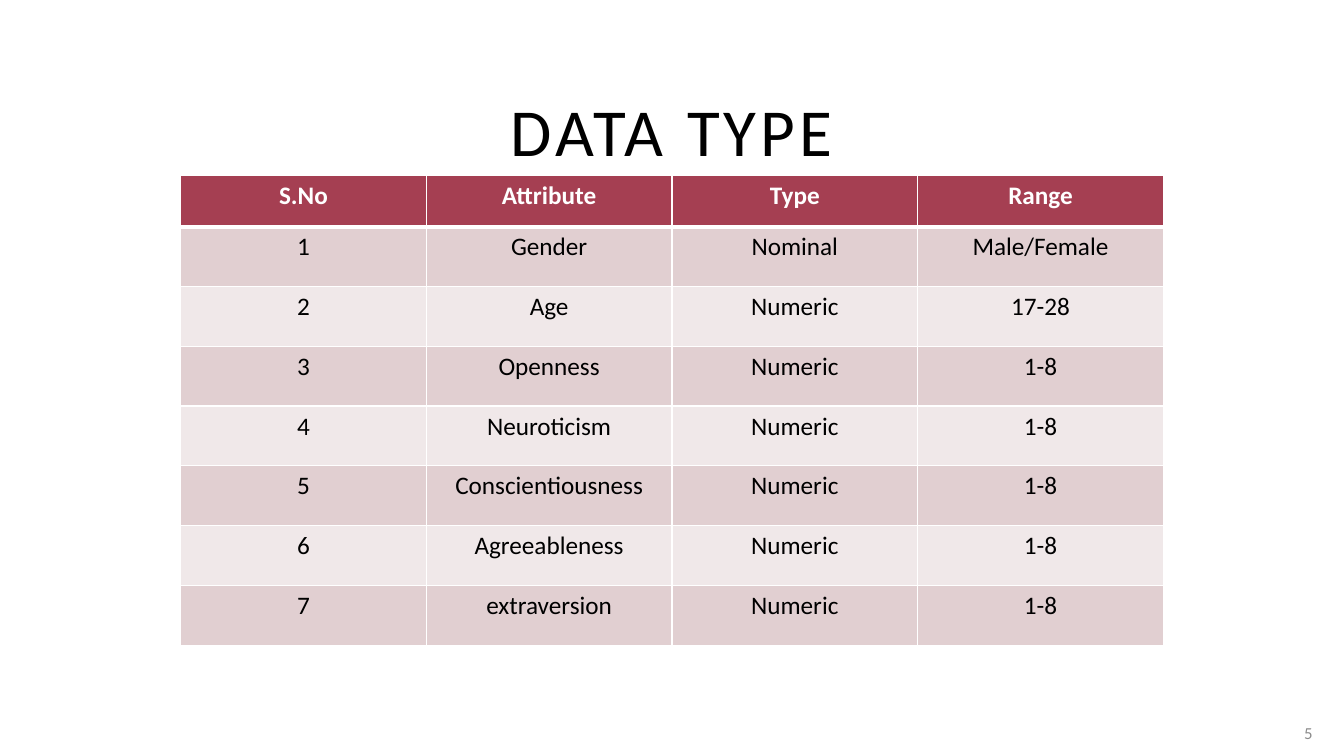
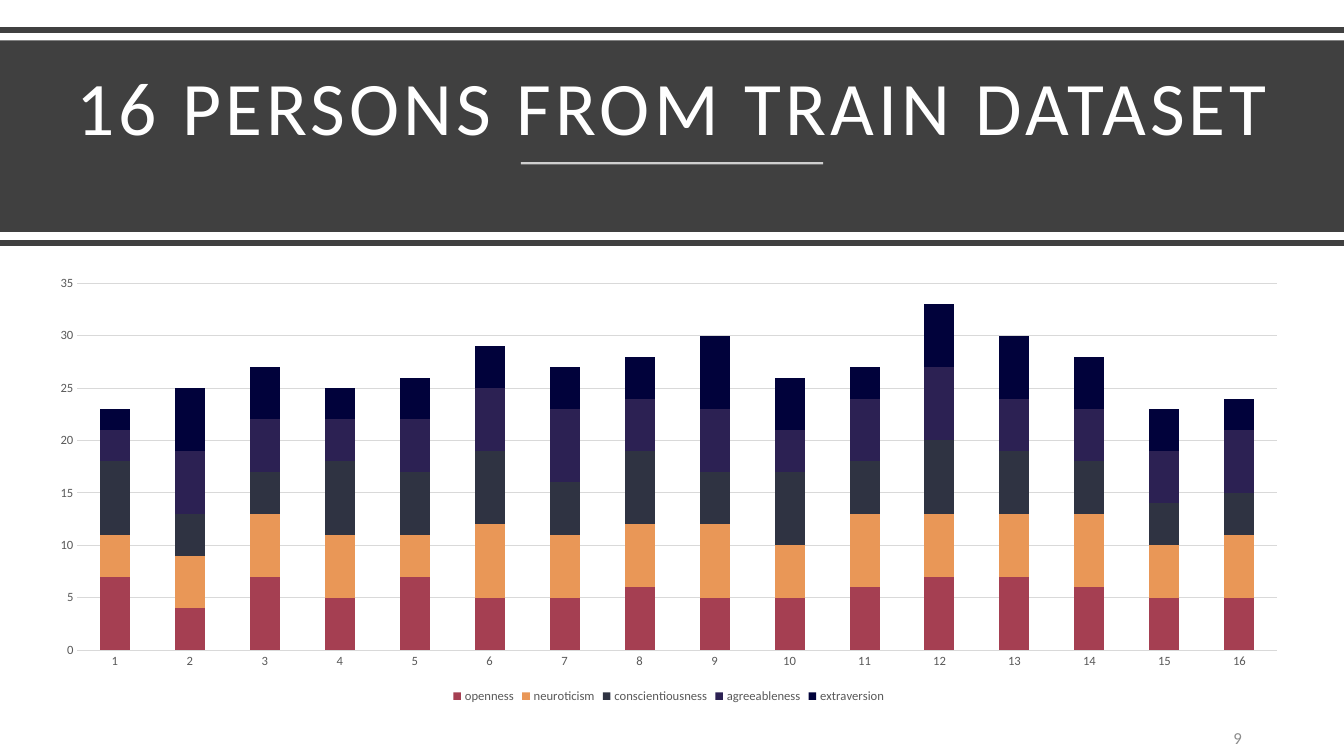
"""Build two slides: a table of data types and a stacked chart of 16 persons."""
from dataclasses import dataclass

from lxml.etree import SubElement
from pptx import Presentation
from pptx.chart.data import CategoryChartData
from pptx.dml.color import RGBColor
from pptx.enum.chart import XL_CHART_TYPE as ChartType
from pptx.enum.chart import XL_LEGEND_POSITION as LegendPosition
from pptx.enum.chart import XL_TICK_MARK as TickMark
from pptx.enum.shapes import MSO_CONNECTOR as Connector
from pptx.enum.shapes import MSO_SHAPE as Shape
from pptx.enum.text import MSO_ANCHOR as Anchor
from pptx.enum.text import MSO_AUTO_SIZE as AutoSize
from pptx.enum.text import PP_ALIGN as Align
from pptx.oxml.ns import qn
from pptx.util import Pt


@dataclass(frozen=True)
class Theme:
    font: str = "Calibri"
    white: str = "FFFFFF"
    black: str = "000000"
    band: str = "404040"
    accent: str = "A53F52"
    row_fills: tuple = ("E1CFD1", "F0E8E9")
    series: tuple = ("A53F52", "E99757", "2F3342", "2C2153", "01023B")
    grid: str = "D9D9D9"
    chart_text: str = "595959"
    number: str = "8C8C8C"
    title_size: int = 48
    banner_size: int = 54
    cell_size: int = 18
    number_size: int = 12
    chart_size: int = 9
    title_spacing: int = 3


THEME = Theme()
WIDTH, HEIGHT = 960, 540
TITLE_ONLY = 5

HEADERS = ("S.No", "Attribute", "Type", "Range")
ATTRIBUTES = (
    ("Gender", "Nominal", "Male/Female"),
    ("Age", "Numeric", "17-28"),
    ("Openness", "Numeric", "1-8"),
    ("Neuroticism", "Numeric", "1-8"),
    ("Conscientiousness", "Numeric", "1-8"),
    ("Agreeableness", "Numeric", "1-8"),
    ("extraversion", "Numeric", "1-8"),
)
SCORES = {
    "openness": (7, 4, 7, 5, 7, 5, 5, 6, 5, 5, 6, 7, 7, 6, 5, 5),
    "neuroticism": (4, 5, 6, 6, 4, 7, 6, 6, 7, 5, 7, 6, 6, 7, 5, 6),
    "conscientiousness": (7, 4, 4, 7, 6, 7, 5, 7, 5, 7, 5, 7, 6, 5, 4, 4),
    "agreeableness": (3, 6, 5, 4, 5, 6, 7, 5, 6, 4, 6, 7, 5, 5, 5, 6),
    "extraversion": (2, 6, 5, 3, 4, 4, 4, 4, 7, 5, 3, 6, 6, 5, 4, 3),
}


def rgb(value):
    return RGBColor.from_string(value)


def points(*lengths):
    return [Pt(length) for length in lengths]


def style_font(font, size, color, bold=False):
    font.name = THEME.font
    font.size = Pt(size)
    font.bold = bold
    font.color.rgb = rgb(color)


def write(frame, text, size, color, align, bold=False):
    para = frame.paragraphs[0]
    para.alignment = align
    span = para.add_run()
    span.text = text
    style_font(span.font, size, color, bold)
    return para


def set_title(page, text, area, size, color, anchor):
    title = page.shapes.title
    title.left, title.top, title.width, title.height = points(*area)
    frame = title.text_frame
    frame.word_wrap = True
    frame.auto_size = AutoSize.NONE
    frame.vertical_anchor = anchor
    para = write(frame, text, size, color, Align.CENTER)
    para.runs[0].font._element.set("spc", str(THEME.title_spacing * 100))
    title.element.getparent().append(title.element)
    return para


def add_number(page, number, area):
    box = page.shapes.add_textbox(*points(*area))
    frame = box.text_frame
    frame.word_wrap = True
    frame.vertical_anchor = Anchor.MIDDLE
    write(frame, number, THEME.number_size, THEME.number, Align.RIGHT)


def add_rule(page, left, right, y, color, width, opacity=100):
    rule = page.shapes.add_connector(Connector.STRAIGHT, *points(left, y, right, y))
    rule.line.color.rgb = rgb(color)
    rule.line.width = Pt(width)
    if opacity < 100:
        paint = rule.element.xpath(".//a:srgbClr")[0]
        SubElement(paint, qn("a:alpha")).set("val", str(opacity * 1000))
    SubElement(rule.element.spPr, qn("a:effectLst"))


def add_banner(page):
    for y in (21.6, 173.5):
        add_rule(page, 0, WIDTH, y, THEME.band, 4)
    band = page.shapes.add_shape(Shape.RECTANGLE, *points(0, 28.8, WIDTH, 136.8))
    band.shadow.inherit = False
    band.fill.solid()
    band.fill.fore_color.rgb = rgb(THEME.band)
    band.line.fill.background()
    add_rule(page, 372, 588, 116.6, THEME.white, 1.5, opacity=75)


def set_borders(cell, top, bottom):
    properties = cell._tc.get_or_add_tcPr()
    for side, width in (("L", 1), ("R", 1), ("T", top), ("B", bottom)):
        border = SubElement(properties, qn(f"a:ln{side}"), w=str(Pt(width)))
        fill = SubElement(border, qn("a:solidFill"))
        SubElement(fill, qn("a:srgbClr"), val=THEME.white)


def fill_cell(cell, text, row):
    is_header = row == 0
    set_borders(cell, top=3 if row == 1 else 1, bottom=3 if is_header else 1)
    cell.fill.solid()
    fill = THEME.accent if is_header else THEME.row_fills[(row - 1) % 2]
    cell.fill.fore_color.rgb = rgb(fill)
    color = THEME.white if is_header else THEME.black
    write(cell.text_frame, text, THEME.cell_size, color, Align.CENTER, is_header)


def add_attribute_table(page):
    rows = [HEADERS]
    rows += [(str(number), *row) for number, row in enumerate(ATTRIBUTES, 1)]
    area = points(129, 125.3, 702, 335.6)
    table = page.shapes.add_table(len(rows), len(HEADERS), *area).table
    for row, texts in enumerate(rows):
        table.rows[row].height = Pt(42.7 if row else 36.7)
        for column, text in enumerate(texts):
            fill_cell(table.cell(row, column), text, row)


def style_axis(axis):
    axis.major_tick_mark = axis.minor_tick_mark = TickMark.NONE
    style_font(axis.tick_labels.font, THEME.chart_size, THEME.chart_text)


def style_line(line):
    line.color.rgb = rgb(THEME.grid)
    line.width = Pt(0.75)


def add_score_chart(page):
    data = CategoryChartData()
    data.categories = [str(person) for person in range(1, 17)]
    for name, values in SCORES.items():
        data.add_series(name, values)
    area = points(25.2, 190.8, 905, 314.6)
    chart = page.shapes.add_chart(ChartType.COLUMN_STACKED, *area, data).chart
    chart.has_title = False
    style_font(chart.font, THEME.chart_size, THEME.chart_text)
    chart.has_legend = True
    chart.legend.position = LegendPosition.BOTTOM
    chart.legend.include_in_layout = False
    style_font(chart.legend.font, THEME.chart_size, THEME.chart_text)

    plot = chart.plots[0]
    plot.gap_width = 150
    plot.overlap = 100
    plot.vary_by_categories = False
    for series, color in zip(plot.series, THEME.series):
        series.format.fill.solid()
        series.format.fill.fore_color.rgb = rgb(color)

    style_axis(chart.category_axis)
    style_line(chart.category_axis.format.line)
    scores = chart.value_axis
    style_axis(scores)
    scores.minimum_scale, scores.maximum_scale, scores.major_unit = 0, 35, 5
    scores.format.line.fill.background()
    scores.has_major_gridlines = True
    style_line(scores.major_gridlines.format.line)


def build_data_type(deck):
    page = deck.slides.add_slide(deck.slide_layouts[TITLE_ONLY])
    set_title(page, "DATA TYPE", (46.8, 60.5, 866.2, 64.8),
              THEME.title_size, THEME.black, Anchor.MIDDLE)
    add_number(page, "5", (909.4, 509, 35.3, 28.8))
    add_attribute_table(page)


def build_persons(deck):
    page = deck.slides.add_slide(deck.slide_layouts[TITLE_ONLY])
    add_banner(page)
    para = set_title(page, "16 PERSONS FROM TRAIN DATASET", (41.8, 38.9, 877, 73.4),
                     THEME.banner_size, THEME.white, Anchor.BOTTOM)
    para.line_spacing = 0.9
    add_number(page, "9", (678.2, 513.4, 216, 27.4))
    add_score_chart(page)


def main():
    deck = Presentation()
    deck.slide_width, deck.slide_height = points(WIDTH, HEIGHT)
    build_data_type(deck)
    build_persons(deck)
    deck.save("out.pptx")


if __name__ == "__main__":
    main()
